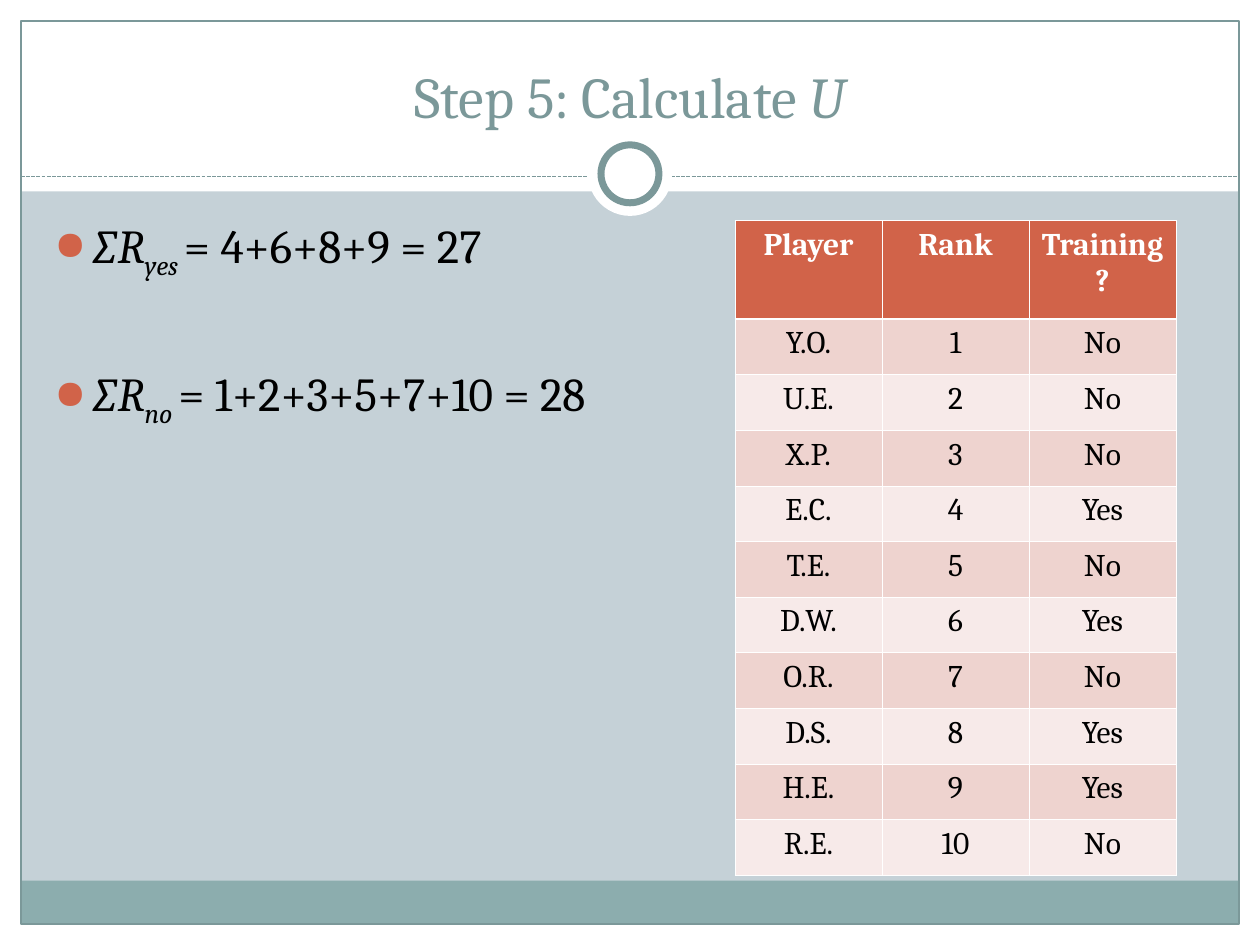
from lxml import etree
from pptx import Presentation
from pptx.dml.color import RGBColor
from pptx.enum.dml import MSO_LINE
from pptx.enum.shapes import MSO_CONNECTOR, MSO_SHAPE
from pptx.enum.text import MSO_ANCHOR, PP_ALIGN
from pptx.oxml.ns import qn
from pptx.util import Inches, Pt

RECTANGLE, OVAL = MSO_SHAPE.RECTANGLE, MSO_SHAPE.OVAL
STRAIGHT = MSO_CONNECTOR.STRAIGHT
SHORT_DASH = MSO_LINE.SQUARE_DOT
CENTER = PP_ALIGN.CENTER
BOTTOM = MSO_ANCHOR.BOTTOM

FONT = "Cambria"
COLUMNS, ROWS = 60, 45
UNIT = Inches(10) / COLUMNS
COLORS = {
    "background": "C5D1D7", "white": "FFFFFF", "black": "000000",
    "slate": "7B9899", "footer": "8CADAE", "accent": "D16349",
    "odd_row": "EED3CF", "even_row": "F7EAE9",
}
RANK_SUMS = [("yes", "= 4+6+8+9 = 27"), ("no", "= 1+2+3+5+7+10 = 28")]
HEADINGS = ["Player", "Rank", "Training?"]
PLAYERS = ["Y.O.", "U.E.", "X.P.", "E.C.", "T.E.",
           "D.W.", "O.R.", "D.S.", "H.E.", "R.E."]
TRAINED_RANKS = {4, 6, 8, 9}
HEADING_ROWS, PLAYER_ROWS = 4.7, 2.65


def grid(*lengths):
    """Turn grid columns or rows into slide lengths."""
    return [round(length * UNIT) for length in lengths]


def color(name):
    return RGBColor.from_string(COLORS[name])


def set_font(font, size, color_name, bold=False):
    font.name, font.size, font.bold = FONT, Pt(size), bold
    font.color.rgb = color(color_name)


def add_panel(slide, box, fill=None, line_width=None, kind=RECTANGLE):
    shape = slide.shapes.add_shape(kind, *grid(*box))
    shape.shadow.inherit = False
    if fill:
        shape.fill.solid()
        shape.fill.fore_color.rgb = color(fill)
    else:
        shape.fill.background()
    if line_width:
        shape.line.color.rgb = color("slate")
        shape.line.width = Pt(line_width)
    else:
        shape.line.fill.background()


def add_frame(slide, box):
    """Draw the white margins, footer band, outline and ringed divider."""
    left, top, width, height = box
    right, bottom = left + width, top + height
    for margin in [(left, bottom - 1, width, 1), (left, top, width, 9.12),
                   (left, top, 1, height), (right - 1, top, 1, height)]:
        add_panel(slide, margin, "white")
    add_panel(slide, (left + 1, bottom - 3.06, width - 2, 2.06), "footer")
    add_panel(slide, (left + 1, top + 1, width - 2, height - 2), line_width=0.75)

    divider_row = top + 8.4
    divider = slide.shapes.add_connector(
        STRAIGHT, *grid(left + 1, divider_row, right - 1, divider_row))
    divider.line.color.rgb = color("slate")
    divider.line.width = Pt(0.75)
    divider.line.dash_style = SHORT_DASH
    etree.SubElement(divider._element.spPr, qn("a:effectLst"))

    middle, ring_row = left + width / 2, top + 8.28
    for diameter, line_width in [(4, None), (2.76, 4)]:
        add_panel(slide, (middle - diameter / 2, ring_row - diameter / 2,
                          diameter, diameter), "white", line_width, OVAL)


def add_title(slide, box):
    frame = slide.shapes.add_textbox(*grid(*box)).text_frame
    frame.word_wrap = True
    frame.vertical_anchor = BOTTOM
    paragraph = frame.paragraphs[0]
    paragraph.alignment = CENTER
    set_font(paragraph.font, 33, "slate")
    for text, italic in [("Step 5: Calculate ", False), ("U", True)]:
        run = paragraph.add_run()
        run.text, run.font.italic = text, italic


def add_bullet(paragraph):
    properties = paragraph._p.get_or_add_pPr()
    properties.set("marL", str(Inches(0.3)))
    properties.set("indent", str(Inches(-0.3)))
    bullet_color = etree.SubElement(properties, qn("a:buClr"))
    etree.SubElement(bullet_color, qn("a:srgbClr"), val=COLORS["accent"])
    etree.SubElement(properties, qn("a:buSzPct"), val="85000")
    etree.SubElement(properties, qn("a:buChar"), char="●")


def add_rank_sums(slide, box):
    frame = slide.shapes.add_textbox(*grid(*box)).text_frame
    frame.word_wrap = True
    for index, (group, total) in enumerate(RANK_SUMS):
        paragraph = frame.add_paragraph() if index else frame.paragraphs[0]
        add_bullet(paragraph)
        if index:
            paragraph.space_before = Pt(48)
        set_font(paragraph.font, 27, "black")
        for text, italic, baseline in [("∑R", True, 0), (group + " ", True, -25000),
                                       (total, False, 0)]:
            run = paragraph.add_run()
            run.text, run.font.italic = text, italic
            if baseline:
                run.font._element.set("baseline", str(baseline))


def add_borders(cell, widths):
    """Draw white borders; widths maps each side to points."""
    properties = cell._tc.get_or_add_tcPr()
    for side, width in widths.items():
        line = etree.SubElement(properties, qn(f"a:ln{side}"), w=str(Pt(width)))
        fill = etree.SubElement(line, qn("a:solidFill"))
        etree.SubElement(fill, qn("a:srgbClr"), val=COLORS["white"])


def add_rank_table(slide, box):
    records = [HEADINGS] + [
        [player, str(rank), "Yes" if rank in TRAINED_RANKS else "No"]
        for rank, player in enumerate(PLAYERS, 1)]
    table = slide.shapes.add_table(len(records), len(HEADINGS), *grid(*box)).table
    for row_index, record in enumerate(records):
        is_heading = row_index == 0
        row_height = HEADING_ROWS if is_heading else PLAYER_ROWS
        table.rows[row_index].height = grid(row_height)[0]
        band = "accent" if is_heading else "odd_row" if row_index % 2 else "even_row"
        borders = {"L": 0.45, "R": 0.45, "T": 1.47 if row_index == 1 else 0.45,
                   "B": 1.47 if is_heading else 0.45}
        for column_index, text in enumerate(record):
            cell = table.cell(row_index, column_index)
            add_borders(cell, borders)
            cell.fill.solid()
            cell.fill.fore_color.rgb = color(band)
            cell.text = text
            paragraph = cell.text_frame.paragraphs[0]
            paragraph.alignment = CENTER
            set_font(paragraph.font, 18, "white" if is_heading else "black", is_heading)


def main():
    presentation = Presentation()
    presentation.slide_width, presentation.slide_height = grid(COLUMNS, ROWS)
    slide = presentation.slides.add_slide(presentation.slide_layouts[6])
    slide.background.fill.solid()
    slide.background.fill.fore_color.rgb = color("background")
    add_frame(slide, (0, 0, COLUMNS, ROWS))
    add_title(slide, (2, 1.5, 56, 5))
    add_rank_sums(slide, (2, 10, 55.8, 30))
    add_rank_table(slide, (35, 10.5, 21, HEADING_ROWS + len(PLAYERS) * PLAYER_ROWS))
    presentation.save("out.pptx")


if __name__ == "__main__":
    main()
